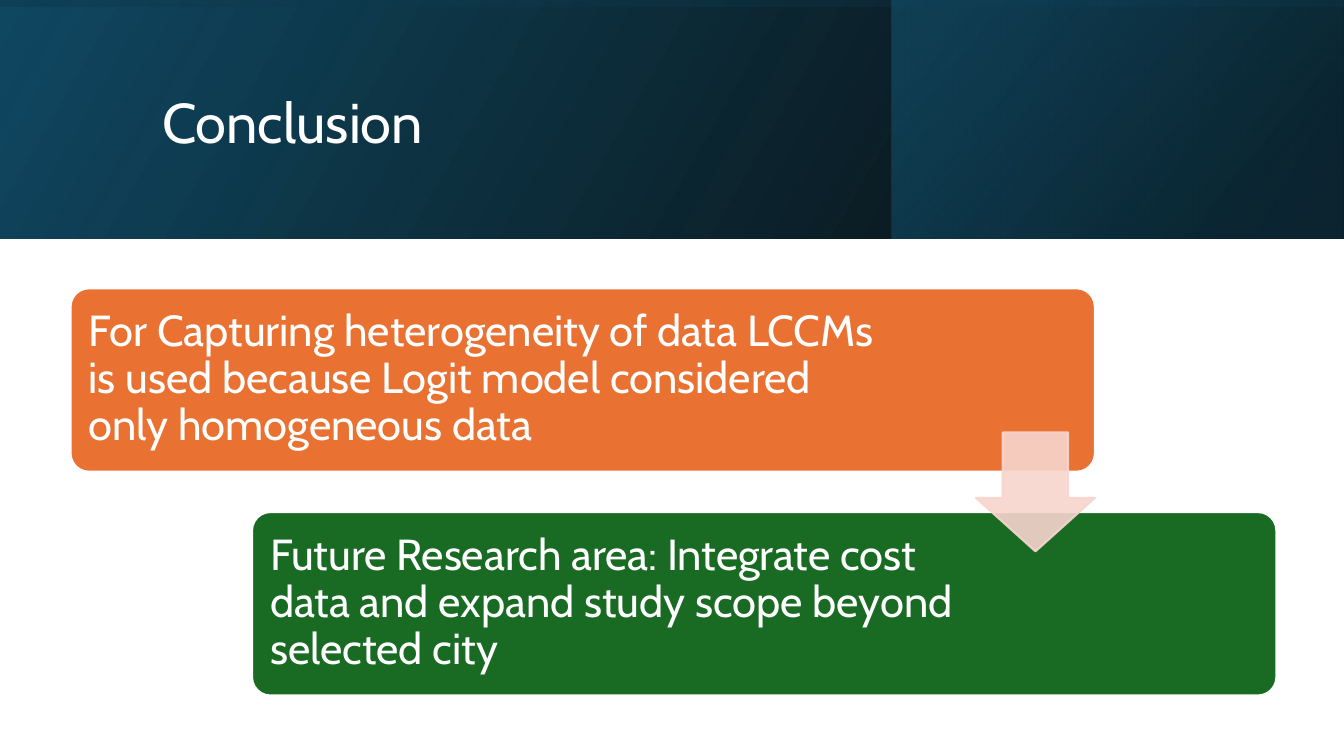
import pptx
import pptx.util
import pptx.dml.color
import pptx.enum.shapes
import pptx.enum.text
import pptx.oxml.ns

Inches = pptx.util.Inches
Pt = pptx.util.Pt
RGBColor = pptx.dml.color.RGBColor
Kind = pptx.enum.shapes.MSO_SHAPE
qn = pptx.oxml.ns.qn

BLACK = RGBColor(0x00, 0x00, 0x00)
WHITE = RGBColor(0xFF, 0xFF, 0xFF)
NAVY = RGBColor(0x10, 0x48, 0x62)
DEEP = RGBColor(0x0B, 0x30, 0x41)
TEAL = RGBColor(0x15, 0x60, 0x82)
ORANGE = RGBColor(0xE9, 0x71, 0x32)
GREEN = RGBColor(0x19, 0x6B, 0x24)
PINK = RGBColor(0xF7, 0xD5, 0xCE)


class Deck:
    font = {"name": "Cabin", "color": WHITE}
    frame = {
        "word_wrap": True,
        "auto_size": pptx.enum.text.MSO_AUTO_SIZE.NONE,
        "vertical_anchor": pptx.enum.text.MSO_ANCHOR.MIDDLE,
    }
    para = {"alignment": pptx.enum.text.PP_ALIGN.LEFT, "line_spacing": 0.9}
    sides = ("left", "top", "width", "height")

    def __init__(self, wide, high):
        self.prs = pptx.Presentation()
        self.prs.slide_width = Inches(wide)
        self.prs.slide_height = Inches(high)
        self.slide = self.prs.slides.add_slide(self.prs.slide_layouts[5])
        self.shapes = self.slide.shapes

    def fade(self, item, alphas):
        for color, alpha in zip(item._element.spPr.iter(qn("a:srgbClr")), alphas):
            node = color.makeelement(qn("a:alpha"), {"val": str(alpha * 1000)})
            color.append(node)

    def shape(self, kind, box, adjust=()):
        item = self.shapes.add_shape(kind, *map(Inches, box))
        item.shadow.inherit = False
        for spot, value in enumerate(adjust):
            item.adjustments[spot] = value
        return item

    def band(self, box, angle, stops, turn=0):
        item = self.shape(Kind.RECTANGLE, box)
        item.rotation = turn
        item._element.spPr.xfrm.set("flipH", "1")
        item.line.fill.background()
        item.fill.gradient()
        item.fill.gradient_angle = 360 - angle
        for stop, (place, color, alpha) in zip(item.fill.gradient_stops, stops):
            stop.position = place
            stop.color.rgb = color
        self.fade(item, [alpha for place, color, alpha in stops])

    def solid(self, kind, box, adjust, fill, line, alpha=100):
        item = self.shape(kind, box, adjust)
        item.fill.solid()
        item.fill.fore_color.rgb = fill
        item.line.color.rgb = line
        item.line.width = Pt(1.5)
        if alpha < 100:
            self.fade(item, (alpha, alpha))

    def style(self, item, text, size):
        body = item.text_frame
        body.text = text
        line = body.paragraphs[0]
        for name, value in self.frame.items():
            setattr(body, name, value)
        for name, value in self.para.items():
            setattr(line, name, value)
        font = line.runs[0].font
        font.name = self.font["name"]
        font.color.rgb = self.font["color"]
        font.size = Pt(size)

    def title(self, box, text):
        item = self.shapes.title
        for name, value in zip(self.sides, box):
            setattr(item, name, Inches(value))
        self.style(item, text, 40)
        self.shapes._spTree.append(item._element)

    def text(self, box, text):
        item = self.shapes.add_textbox(*map(Inches, box))
        for side in ("left", "top", "right", "bottom"):
            setattr(item.text_frame, "margin_" + side, Inches(0.13))
        self.style(item, text, 31)

    def card(self, left, top, wide, fill, text):
        self.solid(Kind.ROUNDED_RECTANGLE, (left, top, 10.16, 1.82), (0.1,), fill, WHITE)
        self.text((left + 0.05, top + 0.05, wide, 1.71), text)


def main():
    deck = Deck(13.33, 7.5)
    deck.band((0, 0, 13.33, 2.37), 330, ((0, BLACK, 96), (1, NAVY, 100)))
    deck.band((8.84, 0, 4.48, 2.37), 320, ((0.19, DEEP, 68), (1, TEAL, 48)))
    deck.band((5.48, -5.48, 2.37, 13.33), 350, ((0.23, NAVY, 16), (0.99, BLACK, 45)), 270)
    deck.title((1.51, 0.38, 10.63, 1.72), "Conclusion")
    deck.card(0.7, 2.86, 8.28, ORANGE, "For Capturing heterogeneity of data LCCMs is used "
              "because Logit model considered only homogeneous data")
    deck.card(2.5, 5.08, 7.08, GREEN, "Future Research area: Integrate cost data and expand "
              "study scope beyond selected city")
    deck.solid(Kind.DOWN_ARROW, (9.68, 4.29, 1.18, 1.18), (0.55, 0.45), PINK, PINK, 90)
    deck.prs.save("out.pptx")


if __name__ == "__main__":
    main()
